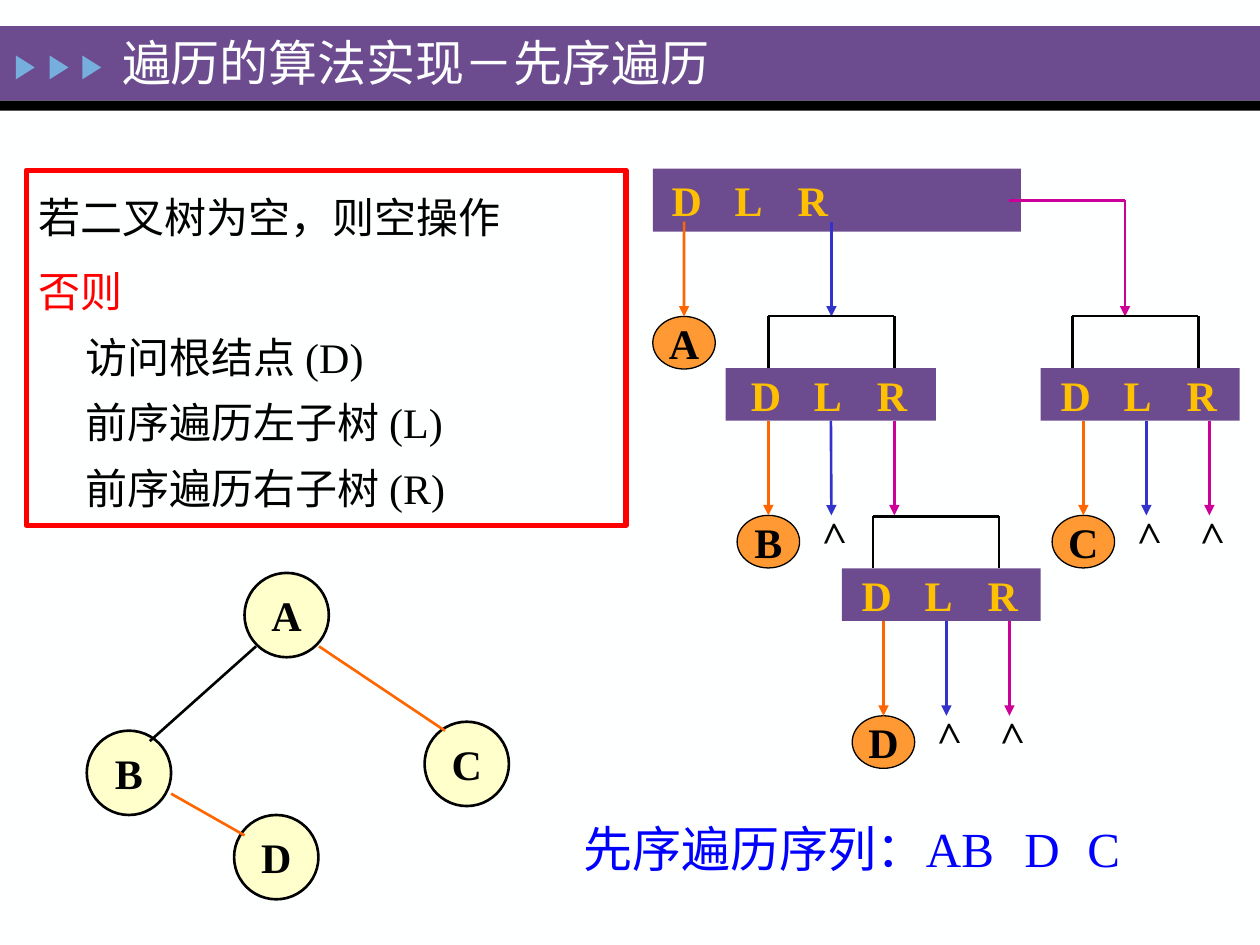
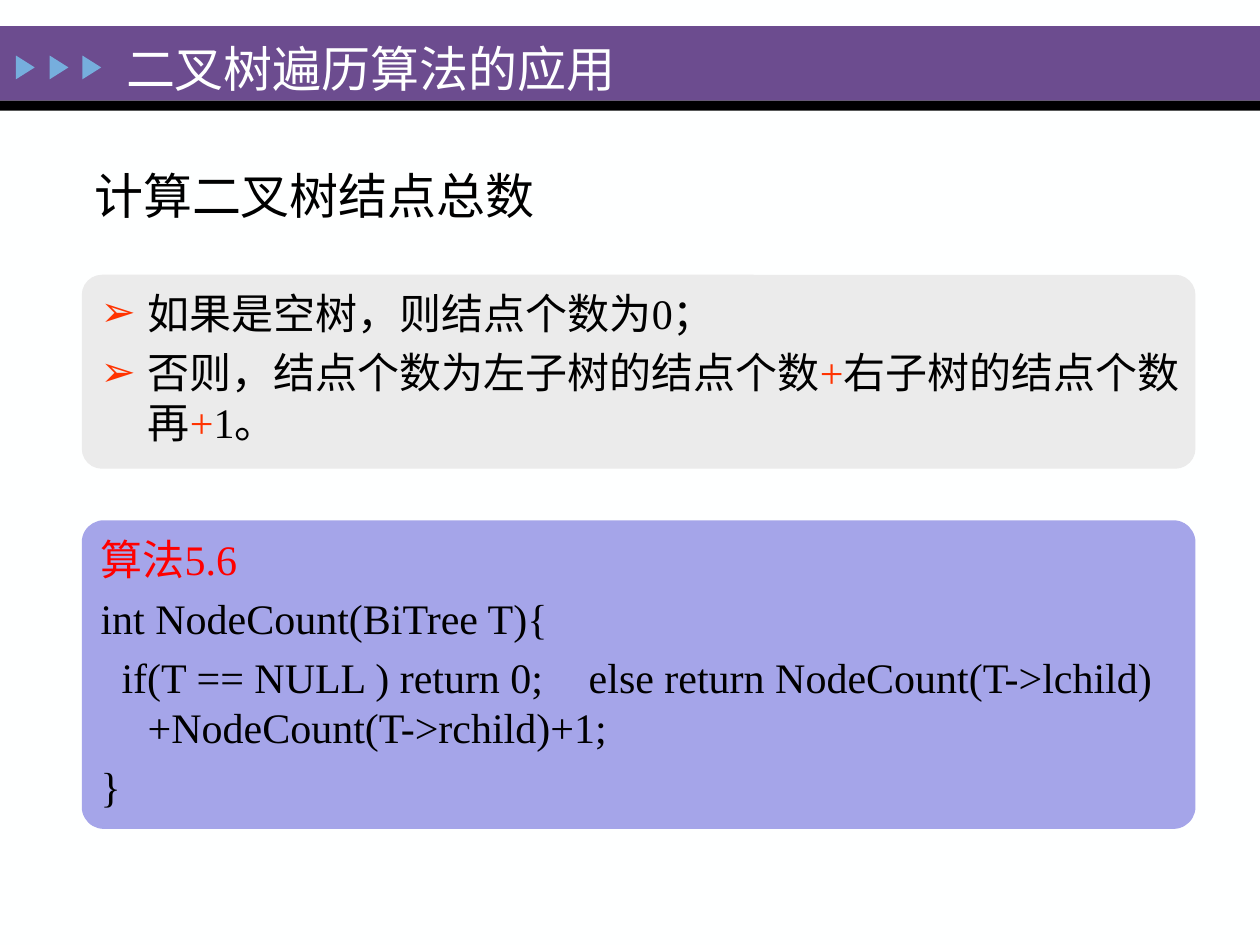
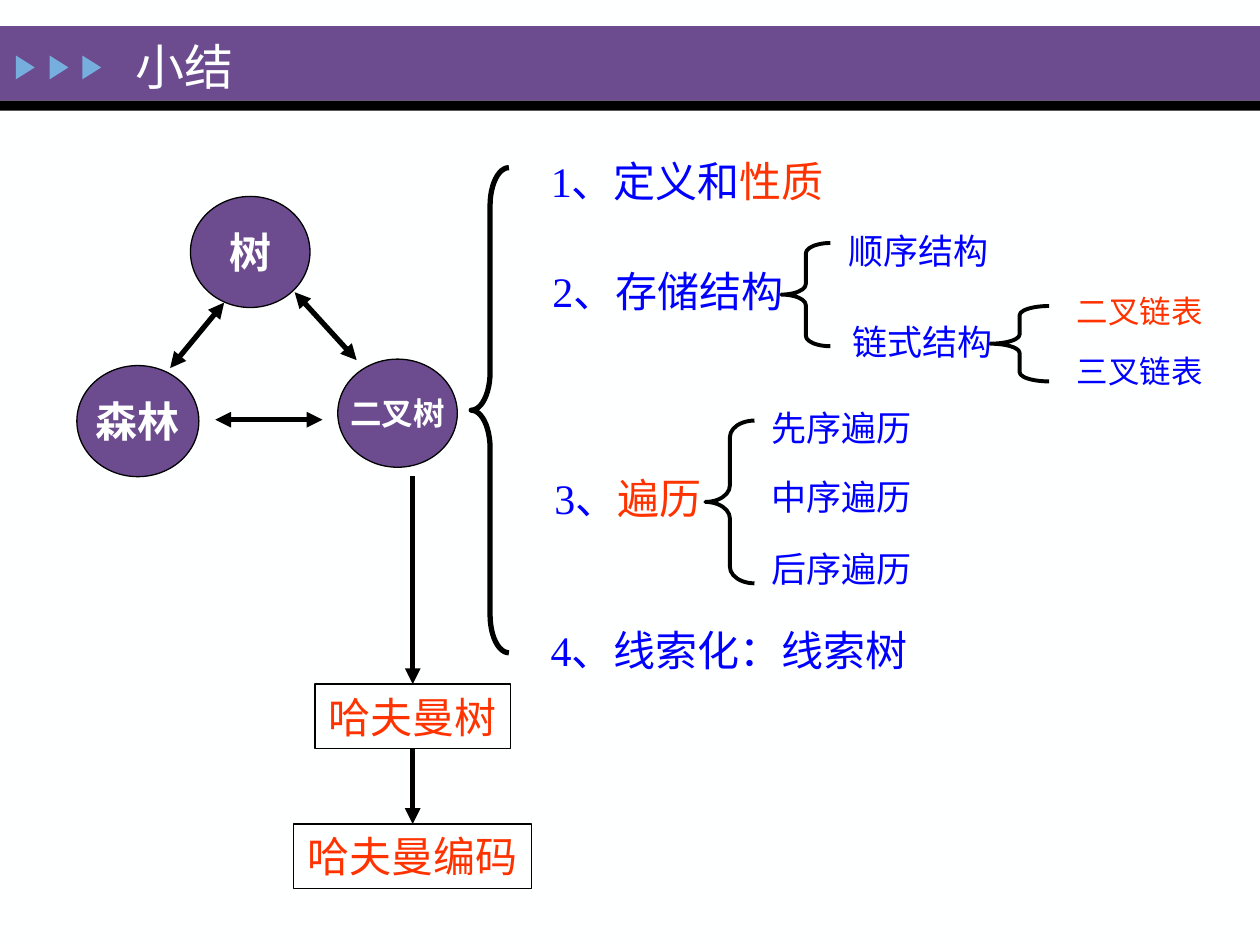
from lxml.etree import SubElement
from pptx import Presentation
from pptx.dml.color import RGBColor
from pptx.enum.shapes import MSO_CONNECTOR, MSO_SHAPE as Form
from pptx.enum.text import MSO_ANCHOR as Anchor, MSO_AUTO_SIZE as Auto, PP_ALIGN as Align
from pptx.oxml.ns import qn
from pptx.util import Cm, Pt

FONT = "Times New Roman"
PLUM, BLACK, WHITE, GOLD = "6C4C8F", "000000", "FEFFFF", "FFC000"
BLUE, RED, FLAME, ORANGE = "0000FF", "FF0000", "FF3300", "FF6600"
NAVY, PINK = "3333CC", "CC0099"


def paint(fill, color):
    if color:
        fill.solid()
        fill.fore_color.rgb = RGBColor.from_string(color)
    else:
        fill.background()


def write(shape, text, size=24, color=BLACK, accent=FLAME, bold=False, fill=None,
          edge=None, thick=0.75, center=False, top=False, pad=(0.25, 0.13),
          hang=0, gap=0, pitch=1, bullet=None, tabs=()):
    shape.shadow.inherit = False
    paint(shape.fill, fill)
    paint(shape.line.fill, edge)
    if edge:
        shape.line.width = Pt(thick)
    frame = shape.text_frame
    frame.auto_size = Auto.NONE
    frame.word_wrap = not center
    frame.vertical_anchor = Anchor.TOP if top else Anchor.MIDDLE
    frame.margin_left, frame.margin_top = map(Cm, pad)
    frame.margin_right, frame.margin_bottom = Cm(0.25), Cm(0.13)
    for row, line in enumerate(text.split("\n")):
        para = frame.add_paragraph() if row else frame.paragraphs[0]
        para.alignment = Align.CENTER if center else Align.LEFT
        para.line_spacing = pitch
        para.space_before = Pt(gap if row else 0)
        props = para._p.get_or_add_pPr()
        props.set("marL", str(Cm(hang)))
        props.set("indent", str(-Cm(hang)))
        if bullet:
            SubElement(SubElement(props, qn("a:buClr")), qn("a:srgbClr"), val=accent)
            SubElement(props, qn("a:buChar"), char=bullet)
        else:
            SubElement(props, qn("a:buNone"))
        if tabs:
            stops = SubElement(props, qn("a:tabLst"))
            for stop in tabs:
                SubElement(stops, qn("a:tab"), pos=str(Cm(stop)), algn="l")
        for turn, span in enumerate(line.split("|")):
            for part, words in enumerate(span.split("\v")):
                if part:
                    para.add_line_break()
                if words:
                    run = para.add_run()
                    run.text = words
                    run.font.name, run.font.size, run.font.bold = FONT, Pt(size), bold
                    paint(run.font.fill, accent if turn % 2 else color)


deck = Presentation()
deck.slide_width, deck.slide_height = Cm(25.4), Cm(19.05)
master = deck.slide_master
paint(master.background.fill, WHITE)

pages = []
for layout, title, box in [
    (1, "遍历的算法实现－先序遍历", (2.21, 0.53, 16.33, 1.42)),
    (1, "二叉树遍历算法的应用", (2.29, 0.66, 18.47, 1.42)),
    (5, "小结", (2.49, 0.61, 4.65, 1.45)),
]:
    page = deck.slides.add_slide(deck.slide_layouts[layout])
    head = page.shapes.title
    head.left, head.top, head.width, head.height = map(Cm, box)
    write(head, title, size=28, color=WHITE)
    pages.append(page)
walk, count, recap = pages

decor = [
    (Form.RECTANGLE, (0, 0.53, 25.4, 1.5), PLUM, 0),
    (Form.RECTANGLE, (0, 2.03, 25.4, 0.2), BLACK, 0),
]
decor += [(Form.ISOSCELES_TRIANGLE, (x, 1.17, 0.48, 0.38), "76AEDD", 90)
          for x in (0.27, 0.95, 1.61)]
for rank, (form, box, color, turn) in enumerate(decor):
    band = walk.shapes.add_shape(form, *map(Cm, box))
    band.rotation = turn
    write(band, "", fill=color)
    band.element.nvSpPr.cNvPr.id = 50 + rank
    master.shapes.element.insert(2 + rank, band.element)

links = []

rule = walk.placeholders[1]
rule.left, rule.top, rule.width, rule.height = map(Cm, (0.53, 3.43, 12.09, 7.16))
write(rule, "若二叉树为空，则空操作\n|否则|\v访问根结点 (D)\v前序遍历左子树 (L)\v前序遍历右子树 (R)",
      accent=RED, edge=RED, thick=3, top=True, hang=0.95, gap=5, pitch=1.3)

root = walk.shapes.add_shape(Form.RECTANGLE, *map(Cm, (13.16, 3.4, 7.42, 1.27)))
write(root, "D\tL\tR", color=GOLD, bold=True, fill=PLUM, pad=(0.38, 0.13), tabs=(2.95, 6.02))
links += [
    (walk, (16.76, 4.47, 16.76, 6.38), NAVY, 1.5, ["tail"], None, None),
    (walk, (20.35, 4.04, 22.68, 4.04), PINK, 1.5, [], None, None),
    (walk, (22.68, 4.04, 22.68, 6.38), PINK, 1.5, ["tail"], None, None),
]

leaves = [("A", 13.79, 4.47, 6.38, ORANGE, None)]
for left, top, width, pad, first, fork, marks in [
    (14.63, 7.42, 4.24, 0.51, 15.49, 15.49, ("B", ">", "")),
    (16.97, 11.46, 4.01, 0.4, 17.81, 17.6, ("D", ">", ">")),
    (20.98, 7.42, 4.01, 0.4, 21.84, 21.62, ("C", ">", ">")),
]:
    node = walk.shapes.add_shape(Form.RECTANGLE, *map(Cm, (left, top, width, 1.06)))
    write(node, "D\tL\tR", color=GOLD, bold=True, fill=PLUM, pad=(pad, 0.13), tabs=(1.47, 2.6))
    bar, end = top - 1.05, fork + 2.54
    for ends in [(fork, bar, end, bar), (fork, bar, fork, top), (end, bar, end, top)]:
        links.append((walk, ends, BLACK, 1.5, [], None, None))
    for step, (mark, color) in enumerate(zip(marks, (ORANGE, NAVY, PINK))):
        x = first + step * 1.27
        start = node if abs(x - left - width / 2) < 0.03 else None
        leaves.append((mark, x, top + 1.06, top + 2.97, color, start))

for mark, x, top, foot, color, start in leaves:
    goal = None
    if mark == ">":
        nil = walk.shapes.add_textbox(*map(Cm, (x - 0.53, foot - 0.3, 1.06, 1.27)))
        nil.rotation = 268.3
        write(nil, mark, bold=True)
    elif mark:
        goal = walk.shapes.add_shape(Form.OVAL, *map(Cm, (x - 0.63, foot, 1.26, 1.06)))
        write(goal, mark, bold=True, fill="FF9933", edge=BLACK, center=True)
    links.append((walk, (x, top, x, foot), color, 1.5, ["tail"], start, goal))

for name, x, y in [("A", 4.93, 11.55), ("D", 4.72, 16.43), ("B", 1.75, 14.73), ("C", 8.56, 14.55)]:
    disc = walk.shapes.add_shape(Form.OVAL, *map(Cm, (x, y, 1.7, 1.7)))
    write(disc, name, bold=True, fill="FFFFCC", edge=BLACK, thick=1.5, center=True)
for ends, color in [
    ((5.16, 13.03, 3.02, 14.94), BLACK),
    ((6.43, 13.03, 8.97, 14.73), ORANGE),
    ((3.45, 16, 4.93, 16.84), ORANGE),
]:
    links.append((walk, ends, color, 1.5, [], None, None))

order = walk.shapes.add_textbox(*map(Cm, (11.51, 16.36, 13.18, 1.45)))
write(order, "先序遍历序列：A\tB\tD\tC", size=28, color=BLUE, tabs=(8.3, 9.45, 10.66))

topic = count.shapes.add_textbox(*map(Cm, (1.65, 3.2, 13.59, 1.45)))
write(topic, "计算二叉树结点总数", size=28)

panel = count.shapes.add_shape(Form.ROUNDED_RECTANGLE, *map(Cm, (1.65, 5.54, 22.45, 3.91)))
panel.adjustments[0] = 0.104
write(panel, "", fill="EBEBEB")
steps = count.placeholders[1]
steps.left, steps.top, steps.width, steps.height = panel.left, panel.top, panel.width, panel.height
count.shapes.element.append(steps.element)
write(steps, "如果是空树，则结点个数为0；\n否则，结点个数为左子树的结点个数|+|右子树的结点个数再|+|1。",
      top=True, pad=(0.38, 0.25), hang=0.95, gap=5, bullet="➢")

code = count.shapes.add_shape(Form.ROUNDED_RECTANGLE, *map(Cm, (1.65, 10.49, 22.45, 6.22)))
code.adjustments[0] = 0.071
write(code, "|算法5.6\nint NodeCount(BiTree T){\n"
      "  if(T == NULL ) return 0;\telse return NodeCount(T->lchild)+NodeCount(T->rchild)+1;\n}",
      accent=RED, fill="A5A5E9", top=True, hang=0.95, gap=5, tabs=(17.04,))

for box, bend, thick in [
    ((9.5, 3.38, 0.76, 9.78), 1.003, 3),
    ((15.75, 4.9, 0.99, 2.08), 0.214, 2.25),
    ((19.96, 6.17, 1.19, 1.52), 0.156, 2.25),
    ((14.22, 8.48, 0.99, 3.28), 0.337, 2.25),
]:
    brace = recap.shapes.add_shape(Form.LEFT_BRACE, *map(Cm, box))
    brace.adjustments[0] = bend
    write(brace, "", edge=BLACK, thick=thick)

for text, x, y, width, size in [
    ("1、定义和|性质", 10.54, 3, 6.63, 24),
    ("2、存储结构", 10.24, 5.23, 6.45, 24),
    ("3、|遍历", 10.49, 9.4, 4.34, 24),
    ("4、线索化：线索树", 10.52, 12.45, 8.36, 24),
    ("顺序结构", 16.84, 4.52, 3.35, 20),
    ("链式结构", 16.92, 6.35, 3.35, 20),
    ("先序遍历", 15.29, 8.08, 3.35, 20),
    ("中序遍历", 15.29, 9.47, 3.35, 20),
    ("后序遍历", 15.29, 10.92, 3.35, 20),
    ("|二叉链表", 21.44, 5.77, 3.07, 18),
    ("三叉链表", 21.44, 6.99, 3.07, 18),
]:
    label = recap.shapes.add_textbox(*map(Cm, (x, y, width, size * 0.05 + 0.08)))
    write(label, text, size=size, color=BLUE, center=True)

for name, box, size in [
    ("树", (3.84, 3.96, 2.41, 2.24), 24),
    ("二叉树", (6.81, 7.24, 2.41, 2.18), 18),
    ("森林", (1.55, 7.37, 2.46, 2.24), 24),
]:
    ball = recap.shapes.add_shape(Form.OVAL, *map(Cm, box))
    write(ball, name, size=size, color=WHITE, bold=True, fill=PLUM, edge=BLACK, center=True)
for ends in [(5.94, 5.89, 7.19, 7.26), (4.52, 6.1, 3.43, 7.42), (4.34, 8.46, 6.5, 8.46)]:
    links.append((recap, ends, BLACK, 3, ["head", "tail"], None, None))

prior = None
for text, y, width, start in [("哈夫曼树", 13.79, 3.94, 9.6), ("哈夫曼编码", 16.61, 4.8, 15.09)]:
    card = recap.shapes.add_shape(Form.RECTANGLE, *map(Cm, (8.32 - width / 2, y, width, 1.3)))
    write(card, text, color=FLAME, edge=BLACK, center=True)
    links.append((recap, (8.32, start, 8.32, y), BLACK, 3, ["tail"], prior, card))
    prior = card

for page, ends, color, thick, tips, start, goal in links:
    link = page.shapes.add_connector(MSO_CONNECTOR.STRAIGHT, *map(Cm, ends))
    if start:
        link.begin_connect(start, 2)
    if goal:
        link.end_connect(goal, 0)
    paint(link.line.fill, color)
    link.line.width = Pt(thick)
    for tip in tips:
        SubElement(link.get_or_add_ln(), qn(f"a:{tip}End"), type="triangle")
    SubElement(link.element.spPr, qn("a:effectLst"))

deck.save("out.pptx")
